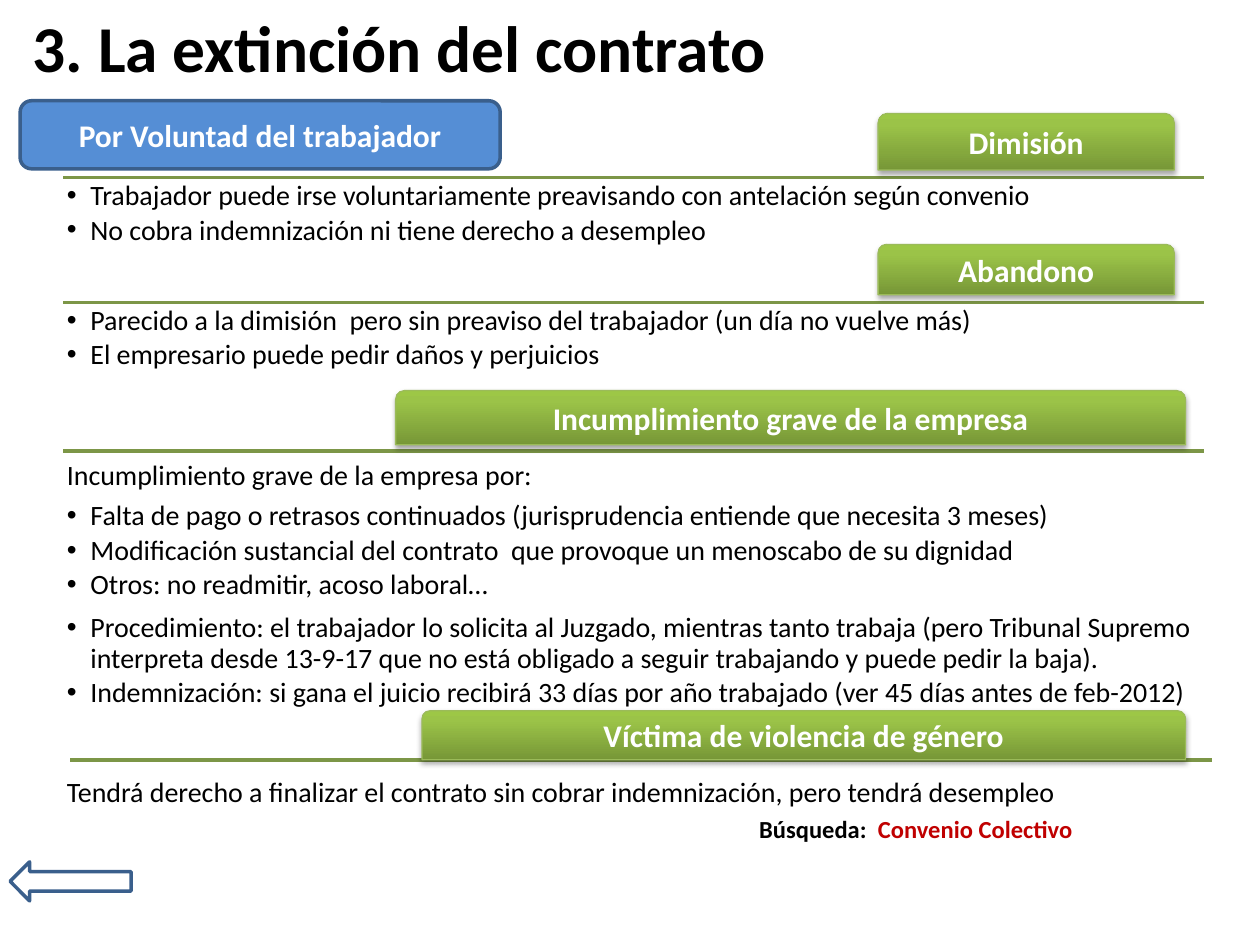
import copy
from lxml import etree
from pptx import Presentation
from pptx import util as u
from pptx.dml.color import RGBColor
from pptx.enum import shapes, text
from pptx.oxml.ns import qn

Pt = u.Pt
KIND = shapes.MSO_SHAPE
ALIGN = text.PP_ALIGN
ANCHOR = text.MSO_ANCHOR


def color(value):
    return RGBColor.from_string(value)


def write(para, words, size=16, ink="000000", bold=False, font="Calibri"):
    span = para.add_run()
    span.text = words
    span.font.name, span.font.size, span.font.bold = font, Pt(size), bold
    span.font.color.rgb = color(ink)


class Page:
    BLUE, EDGE, RULE = "558ED5", "3A5F8C", "7C9647"
    TAB_STOPS = ((0, "779737"), (0.8, "9BC348"), (1, "9DC746"))
    TAB_EDGE = "9BBB59"
    LEFT, WIDTH = 36, 652.3

    def __init__(self, deck):
        self.slide = deck.slides.add_slide(deck.slide_layouts[1])

    def place(self, shape, left, top, width, height):
        shape.left, shape.top = Pt(left), Pt(top)
        shape.width, shape.height = Pt(width), Pt(height)

    def frame(self, shape, anchor=ANCHOR.MIDDLE, insets=(7.2, 3.6, 7.2, 3.6)):
        frame = shape.text_frame
        frame.word_wrap, frame.auto_size = True, text.MSO_AUTO_SIZE.NONE
        frame.vertical_anchor = anchor
        (frame.margin_left, frame.margin_top,
         frame.margin_right, frame.margin_bottom) = map(Pt, insets)
        return frame

    def textbox(self):
        return self.slide.shapes.add_textbox(0, 0, 0, 0)

    def title(self, words, *area):
        shape = self.slide.shapes.title
        self.place(shape, *area)
        para = self.frame(shape).paragraphs[0]
        para.alignment = ALIGN.LEFT
        write(para, words, size=37.4, bold=True)

    def rule(self, left, top):
        line = self.slide.shapes.add_connector(
            shapes.MSO_CONNECTOR.STRAIGHT, Pt(left), Pt(top),
            Pt(left + self.WIDTH), Pt(top))
        line.line.color.rgb, line.line.width = color(self.RULE), Pt(2)
        etree.SubElement(line._element.spPr, qn("a:effectLst"))

    def shape(self, kind, area, edge, weight, fill=None):
        shape = self.slide.shapes.add_shape(kind, *map(Pt, area))
        if fill:
            shape.fill.solid()
            shape.fill.fore_color.rgb = color(fill)
        else:
            shape.fill.background()
        shape.line.color.rgb, shape.line.width = color(edge), Pt(weight)
        shape.shadow.inherit = False
        return shape

    def banner(self, words, *area):
        shape = self.shape(KIND.ROUNDED_RECTANGLE, area, self.EDGE, 2, self.BLUE)
        para = self.frame(shape).paragraphs[0]
        para.alignment = ALIGN.CENTER
        write(para, words, size=18, ink="FFFFFF", bold=True)

    def tab(self, words, *area):
        shape = self.shape(KIND.ROUND_2_SAME_RECTANGLE, area, self.TAB_EDGE, 0.75)
        shape.adjustments[0], shape.adjustments[1] = 0.167, 0
        # Three-stop gradient, dark at the foot
        shape.fill.gradient()
        shape.fill.gradient_angle = 90
        stops = shape._element.spPr.find(".//" + qn("a:gsLst"))
        stops.append(copy.deepcopy(stops[-1]))
        for stop, (position, ink) in zip(shape.fill.gradient_stops, self.TAB_STOPS):
            stop.position, stop.color.rgb = position, color(ink)
        # Soft shadow below
        effects = shape._element.spPr.find(qn("a:effectLst"))
        shadow = etree.SubElement(
            effects, qn("a:outerShdw"), blurRad=str(Pt(3.1)),
            dist=str(Pt(1.8)), dir="5400000", rotWithShape="0")
        ink = etree.SubElement(shadow, qn("a:srgbClr"), val="000000")
        etree.SubElement(ink, qn("a:alpha"), val="35000")
        para = self.frame(shape, insets=(4.3, 4.3, 4.3, 2.9)).paragraphs[0]
        para.alignment, para.line_spacing = ALIGN.CENTER, 0.9
        para.space_after = Pt(6.3)
        write(para, words, size=18, ink="FFFFFF", bold=True)

    def listing(self, shape, top, height, items, lead=None, anchor=ANCHOR.TOP):
        self.place(shape, self.LEFT, top, self.WIDTH, height)
        frame = self.frame(shape, anchor, (2.2,) * 4)
        rows = ([(lead, False)] if lead else []) + [(item, True) for item in items]
        for number, (words, bulleted) in enumerate(rows):
            para = frame.add_paragraph() if number else frame.paragraphs[0]
            para.alignment, para.line_spacing = ALIGN.LEFT, 0.9
            para.space_before = Pt(0)
            para.space_after = Pt(2.4 if bulleted else 5.6)
            props = para._p.get_or_add_pPr()
            indent = Pt(13.5) if bulleted else 0
            props.set("marL", str(indent))
            props.set("indent", str(-indent))
            if bulleted:
                etree.SubElement(props, qn("a:buFont"), typeface="Arial")
                etree.SubElement(props, qn("a:buChar"), char="•")
            else:
                etree.SubElement(props, qn("a:buNone"))
            write(para, words)

    def search(self, label, term, *area):
        box = self.textbox()
        self.place(box, *area)
        para = self.frame(box, ANCHOR.TOP).paragraphs[0]
        para.alignment = ALIGN.CENTER
        write(para, label, size=14, bold=True)
        write(para, term, size=14, ink="C00000", bold=True)


deck = Presentation()
deck.slide_width, deck.slide_height = Pt(720), Pt(540)
page = Page(deck)

# Heading, back arrow and topic
page.title("3. La extinción del contrato", 11.5, 3.6, 648, 45.4)
page.shape(KIND.LEFT_ARROW, (5.8, 492.5, 69.1, 22.3), page.EDGE, 2)
page.banner("Por Voluntad del trabajador", 11.5, 57.6, 274.3, 38.9)

# Section rules
for left, top in ((40.3, 434.2), (36, 257.8), (36, 172.8), (36, 101.5)):
    page.rule(left, top)

# Section texts
page.listing(page.textbox(), 101.5, 85, [
    "Trabajador puede irse voluntariamente preavisando con antelación según convenio",
    "No cobra indemnización ni tiene derecho a desempleo"])
page.listing(page.textbox(), 172.8, 85, [
    "Parecido a la dimisión  pero sin preaviso del trabajador (un día no vuelve más)",
    "El empresario puede pedir daños y perjuicios"])
page.listing(page.slide.placeholders[1], 257.8, 87.8, [
    "Falta de pago o retrasos continuados (jurisprudencia entiende que necesita 3 meses)",
    "Modificación sustancial del contrato  que provoque un menoscabo de su dignidad",
    "Otros: no readmitir, acoso laboral…"],
    lead="Incumplimiento grave de la empresa por:", anchor=ANCHOR.BOTTOM)
page.listing(page.textbox(), 348.5, 22.3, [
    "Procedimiento: el trabajador lo solicita al Juzgado, mientras tanto trabaja "
    "(pero Tribunal Supremo interpreta desde 13-9-17 que no está obligado a seguir "
    "trabajando y puede pedir la baja).",
    "Indemnización: si gana el juicio recibirá 33 días por año trabajado "
    "(ver 45 días antes de feb-2012)"])
page.listing(page.textbox(), 421.9, 42.5, [], anchor=ANCHOR.BOTTOM,
             lead="Tendrá derecho a finalizar el contrato sin cobrar indemnización, "
                  "pero tendrá desempleo")

# Section tabs
for words, *area in (
        ("Dimisión", 501.8, 64.8, 169.2, 32.4),
        ("Abandono", 501.8, 139.7, 169.2, 28.8),
        ("Incumplimiento grave de la empresa", 226.1, 223.2, 451.4, 31),
        ("Víctima de violencia de género", 241.2, 406.1, 436.3, 28.1)):
    page.tab(words, *area)

# Search hint
page.search("Búsqueda:  ", "Convenio Colectivo", 390.2, 461.5, 266.4, 24.5)

deck.save("out.pptx")
